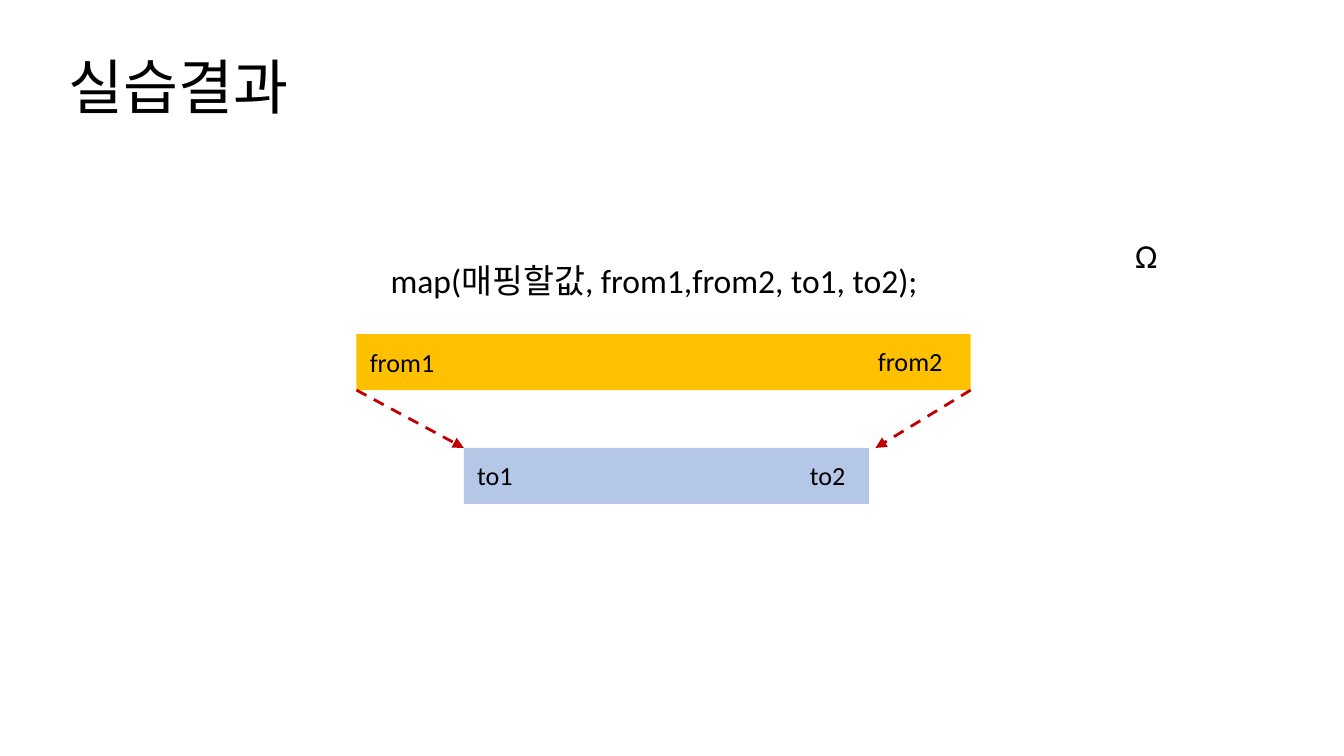
from dataclasses import dataclass

from lxml import etree
from pptx import Presentation
from pptx import util as u
from pptx.dml.color import RGBColor
from pptx.enum import dml, shapes, text
from pptx.oxml import ns


@dataclass(frozen=True)
class Theme:
    latin: str = "Calibri"
    korean: str = "Noto Sans CJK KR"
    ink: str = "000000"
    source: str = "FFC000"
    target: str = "B4C7E7"
    arrow: str = "C00000"
    title: int = 32
    body: int = 18
    label: int = 14
    line: float = 1.5


def write_text(frame, content, *, size, color, font, east_asian,
               align=text.PP_ALIGN.LEFT):
    paragraph = frame.paragraphs[0]
    paragraph.alignment = align
    run = paragraph.add_run()
    run.text = content
    run.font.size = u.Pt(size)
    run.font.color.rgb = RGBColor.from_string(color)
    run.font.name = font
    properties = run.font._element
    etree.SubElement(properties, ns.qn("a:ea"), typeface=east_asian)


class Canvas:
    def __init__(self, slide, theme):
        self.slide = slide
        self.theme = theme

    def text_box(self, content, left, top, width, height, size, font=None,
                 align=text.PP_ALIGN.LEFT):
        box = self.slide.shapes.add_textbox(
            u.Pt(left), u.Pt(top), u.Pt(width), u.Pt(height))
        frame = box.text_frame
        frame.word_wrap = True
        frame.auto_size = text.MSO_AUTO_SIZE.SHAPE_TO_FIT_TEXT
        write_text(frame, content, size=size, color=self.theme.ink,
                   font=font or self.theme.latin,
                   east_asian=self.theme.korean, align=align)

    def bar(self, left, top, width, height, color):
        shape = self.slide.shapes.add_shape(
            shapes.MSO_SHAPE.RECTANGLE,
            u.Pt(left), u.Pt(top), u.Pt(width), u.Pt(height))
        shape.shadow.inherit = False
        shape.fill.solid()
        shape.fill.fore_color.rgb = RGBColor.from_string(color)
        shape.line.fill.background()

    def dashed_arrow(self, start, end):
        connector = self.slide.shapes.add_connector(
            shapes.MSO_CONNECTOR.STRAIGHT, *map(u.Pt, (*start, *end)))
        line = connector.line
        line.color.rgb = RGBColor.from_string(self.theme.arrow)
        line.width = u.Pt(self.theme.line)
        line.dash_style = dml.MSO_LINE.DASH
        etree.SubElement(line._get_or_add_ln(), ns.qn("a:tailEnd"), type="triangle")
        etree.SubElement(connector._element.spPr, ns.qn("a:effectLst"))


def main():
    presentation = Presentation()
    presentation.slide_width = u.Pt(720)
    presentation.slide_height = u.Pt(405)
    slide = presentation.slides.add_slide(presentation.slide_layouts[6])
    theme = Theme()
    canvas = Canvas(slide, theme)
    right = text.PP_ALIGN.RIGHT

    bar_height = 30
    from_left, from_top, from_width = 191, 179, 329
    to_left, to_top, to_width = 248.5, 240, 217
    from_bottom = from_top + bar_height

    canvas.text_box("map(매핑할값, from1,from2, to1, to2);", 188.5, 135.5, 324, 29,
                    theme.body, align=text.PP_ALIGN.CENTER)
    canvas.bar(from_left, from_top, from_width, bar_height, theme.source)
    canvas.bar(to_left, to_top, to_width, bar_height, theme.target)

    labels = [
        ("from1", from_left, 182.3, 63, text.PP_ALIGN.LEFT),
        ("from2", 453, 181.6, 59, right),
        ("to1", to_left, 242.8, 52.5, text.PP_ALIGN.LEFT),
        ("to2", 411, 242.8, 49, right),
    ]
    for content, left, top, width, align in labels:
        canvas.text_box(content, left, top, width, 24.5, theme.label, align=align)

    canvas.dashed_arrow((from_left, from_bottom), (to_left, to_top))
    canvas.dashed_arrow((from_left + from_width, from_bottom),
                        (to_left + to_width + 3.5, to_top))

    canvas.text_box("Ω", 601, 122.5, 41, 29, theme.body)
    canvas.text_box("실습결과", 29.5, 23, 596, 46, theme.title, font=theme.korean)

    presentation.save("out.pptx")


if __name__ == "__main__":
    main()
